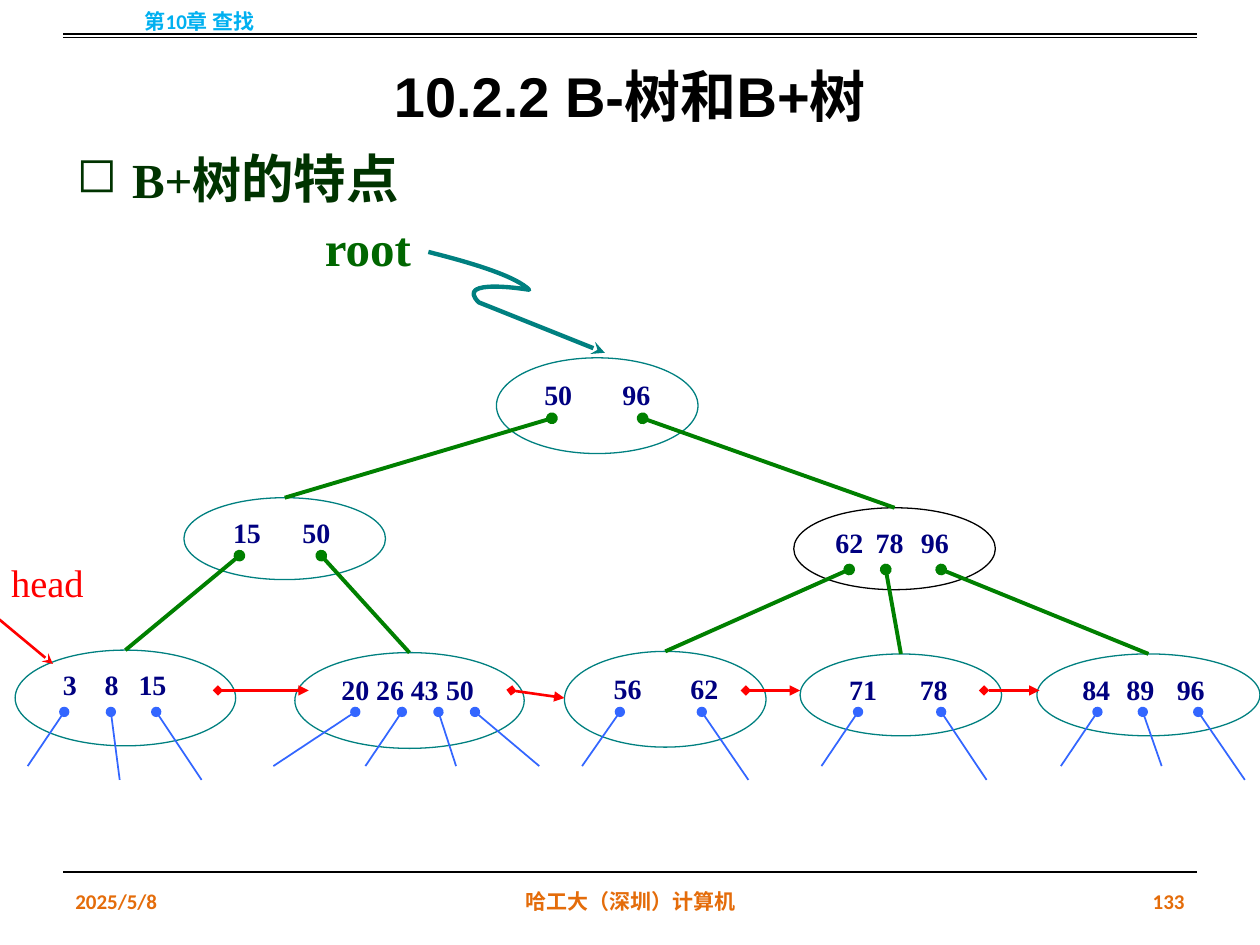
from pptx import Presentation
from pptx.dml.color import RGBColor
from pptx.enum.shapes import MSO_CONNECTOR, MSO_SHAPE
from pptx.enum.text import MSO_ANCHOR, PP_ALIGN
from pptx.oxml.ns import qn
from pptx.util import Inches, Pt
from lxml.etree import SubElement

TIMES = "Times New Roman"
TEAL, NAVY, RED, BLACK = "008080", "000080", "FF0000", "000000"
GREEN, BLUE, ORANGE = "008000", "3366FF", "E46C0A"
INSET = 0.1464  # share of an ellipse's width outside its text area

# Node name: left, top, width, height, columns of the keys, keys, outline
NODES = {
    "root": (39.4, 28.4, 16, 7.6, (43.2, 49.4), "50 96", TEAL),
    "low": (14.6, 39.5, 16, 6.5, (18.5, 24), "15 50", TEAL),
    "high": (63, 40.3, 16, 6.5, (66.3, 69.5, 73.1), "62 78 96", BLACK),
    "leaf2": (23.4, 51.8, 18.2, 7.6, (27.1, 29.85, 32.6, 35.4), "20 26 43 50", TEAL),
    "leaf3": (44.8, 51.7, 16, 7.6, (48.7, 54.8), "56 62", TEAL),
    "leaf4": (63.5, 51.9, 16, 6.5, (67.4, 73), "71 78", TEAL),
    "leaf5": (82.3, 51.9, 17.7, 6.5, (85.9, 89.4, 93.4), "84 89 96", TEAL),
}
# Start of each tree edge and the child it reaches
EDGES = [
    (43.8, 33.2, "low"), (51, 33.2, "high"),
    (19, 44.1, "leaf1"), (25.5, 44.1, "leaf2"),
    (67.4, 45.2, "leaf3"), (70.3, 45.2, "leaf4"), (74.7, 45.2, "leaf5"),
]
# Record pointers below the leaves: start column, end column; short and long
SHORT = [(5.1, 2.2), (28.2, 21.7), (31.9, 29), (34.8, 36.2), (37.7, 42.8),
         (49.2, 46.2), (68.1, 65.2), (87.1, 84.2), (90.7, 92.2)]
LONG = [(8.8, 9.5), (12.4, 16), (55.7, 59.4), (74.7, 78.3), (95.1, 98.8)]
# Links between neighbouring leaves: start column, end column, end row
CHAIN = [(17.3, 24.5, 54.8), (40.6, 44.8, 55.4), (59.2, 63.5, 54.8), (78.1, 82.5, 54.8)]


def grid(n):
    """Grid of 100 columns by 75 rows, each a tenth of an inch."""
    return Inches(n / 10)


def hue(code):
    return RGBColor.from_string(code)


def style(line, color, width):
    line.color.rgb = hue(color)
    line.width = Pt(width)


def tip(line, **ends):
    # Children of a:ln must come in the order headEnd, tailEnd
    ln = line._get_or_add_ln()
    for end in ("head", "tail"):
        if end in ends:
            SubElement(ln, qn(f"a:{end}End"), type=ends[end])


def run(para, text, size, color, font=TIMES, bold=True):
    part = para.add_run()
    part.text = text
    part.font.size = Pt(size)
    part.font.name = font
    part.font.bold = bold
    part.font.color.rgb = hue(color)


def label(slide, box, runs, align=PP_ALIGN.LEFT, anchor=MSO_ANCHOR.TOP, wrap=True):
    frame = slide.shapes.add_textbox(*map(grid, box)).text_frame
    frame.word_wrap = wrap
    frame.vertical_anchor = anchor
    para = frame.paragraphs[0]
    para.alignment = align
    for item in runs:
        run(para, *item)
    return para


def line(slide, start, end, color, width=0.75, child=None, **ends):
    points = map(grid, (*start, *end))
    link = slide.shapes.add_connector(MSO_CONNECTOR.STRAIGHT, *points)
    style(link.line, color, width)
    tip(link.line, **ends)
    if child is not None:
        link.end_connect(child, 0)
    SubElement(link._element.spPr, qn("a:effectLst"))


def put_keys(shape, edge, cols, keys):
    """Set keys at the given columns: left inset, then tab stops."""
    frame = shape.text_frame
    frame.word_wrap = True
    frame.vertical_anchor = MSO_ANCHOR.TOP
    frame.margin_left = grid(cols[0] - edge)
    frame.margin_right = 0
    para = frame.paragraphs[0]
    para.alignment = PP_ALIGN.LEFT
    tabs = SubElement(para._p.get_or_add_pPr(), qn("a:tabLst"))
    for col in cols[1:]:
        SubElement(tabs, qn("a:tab"), pos=str(grid(col - cols[0])), algn="l")
    run(para, "\t".join(keys.split()), 16, NAVY)


def oval(slide, box, color):
    node = slide.shapes.add_shape(MSO_SHAPE.OVAL, *map(grid, box))
    node.shadow.inherit = False
    node.fill.background()
    style(node.line, color, 0.75)
    return node


def curve(slide, points, color, width):
    """Draw a start point and triples of Bezier points."""
    pen = slide.shapes.build_freeform(*points[0], scale=float(grid(1)))
    pen.add_line_segments(points[1:], close=False)
    shape = pen.convert_to_shape()
    shape.shadow.inherit = False
    shape.fill.background()
    style(shape.line, color, width)
    tip(shape.line, tail="stealth")
    # Join every three straight steps into one cubic step
    path = next(shape._element.iter(qn("a:path")))
    steps = path.findall(qn("a:lnTo"))
    for i in range(0, len(steps), 3):
        cubic = SubElement(path, qn("a:cubicBezTo"))
        for step in steps[i:i + 3]:
            cubic.append(step[0])
            path.remove(step)


def frame_page(slide):
    mid = MSO_ANCHOR.MIDDLE
    # Rules
    for row in (2.7, 3, 69.2):
        line(slide, (5, row), (95, row), BLACK)
    # Header and footer
    for box, text, color, align in (
        ((0, -0.3, 31.7, 4), "第10章 查找", "00B0F0", PP_ALIGN.CENTER),
        ((5, 69.5, 23.3, 4), "2025/5/8", ORANGE, PP_ALIGN.LEFT),
        ((34.2, 69.5, 31.7, 4), "哈工大（深圳）计算机", ORANGE, PP_ALIGN.CENTER),
        ((71.7, 69.5, 23.3, 4), "133", ORANGE, PP_ALIGN.RIGHT),
    ):
        label(slide, box, [(text, 12, color, "Calibri")], align, mid)
    # Title
    title = label(slide, (5, 0, 90, 12.5), [("10.2.2 B-树和B+树", 32, BLACK, "Arial")],
                  PP_ALIGN.CENTER, mid)
    title.line_spacing = 1.5
    # Bulleted heading
    head = label(slide, (5.1, 11.1, 50.4, 6),
                 [("B+树", 28, "003300"), ("的特点", 30, "003300")])
    props = head._p.get_or_add_pPr()
    props.set("marL", str(grid(4.4)))
    props.set("indent", str(-grid(4.4)))
    SubElement(props, qn("a:buChar"), char="◻")


def draw_tree(slide):
    # Nodes; the first leaf has its keys in a box of their own
    nodes = {}
    for name, (x, y, w, h, cols, keys, color) in NODES.items():
        nodes[name] = oval(slide, (x, y, w, h), color)
        nodes[name].fill.solid()
        nodes[name].fill.fore_color.rgb = hue("FFFFFF")
        put_keys(nodes[name], x + INSET * w, cols, keys)
    nodes["leaf1"] = oval(slide, (1.2, 51.6, 17.5, 7.6), TEAL)
    box = slide.shapes.add_textbox(*map(grid, (3.4, 52.5, 12.4, 10)))
    put_keys(box, 3.4, (5, 8.3, 11), "3 8 15")
    # Tree edges
    for x, y, name in EDGES:
        child = nodes[name]
        line(slide, (x, y), (x, y), GREEN, 2.25, child, head="oval")
    # Record pointers
    for row, group in ((60.8, SHORT), (61.9, LONG)):
        for x, end in group:
            line(slide, (x, 56.5), (end, row), BLUE, 1, head="oval")
    # Leaf chain
    for x, end, row in CHAIN:
        line(slide, (x, 54.8), (end, row), RED, 1.5, head="diamond", tail="triangle")


def draw_entry(slide):
    # Head pointer
    label(slide, (-0.1, 43.9, 7.9, 5.4), [("head", 22, RED, TIMES, False)])
    line(slide, (-1.7, 47.8), (4.2, 52.7), RED, 1.5, tail="stealth")
    # Root pointer
    label(slide, (24.8, 16.8, 8.9, 5.7), [("root", 28, "006600")], wrap=False)
    curve(slide, [(34.2, 20.1), (37.6, 21.1), (41.1, 22.1), (41.7, 22.6),
                  (42.2, 23.2), (36.5, 22.5), (37.5, 23.5),
                  (38.5, 24.4), (43, 26.4), (47.5, 28.4)], TEAL, 2.5)


def main():
    deck = Presentation()
    deck.slide_width, deck.slide_height = grid(100), grid(75)
    slide = deck.slides.add_slide(deck.slide_layouts[6])
    frame_page(slide)
    draw_tree(slide)
    draw_entry(slide)
    deck.save("out.pptx")


if __name__ == "__main__":
    main()
